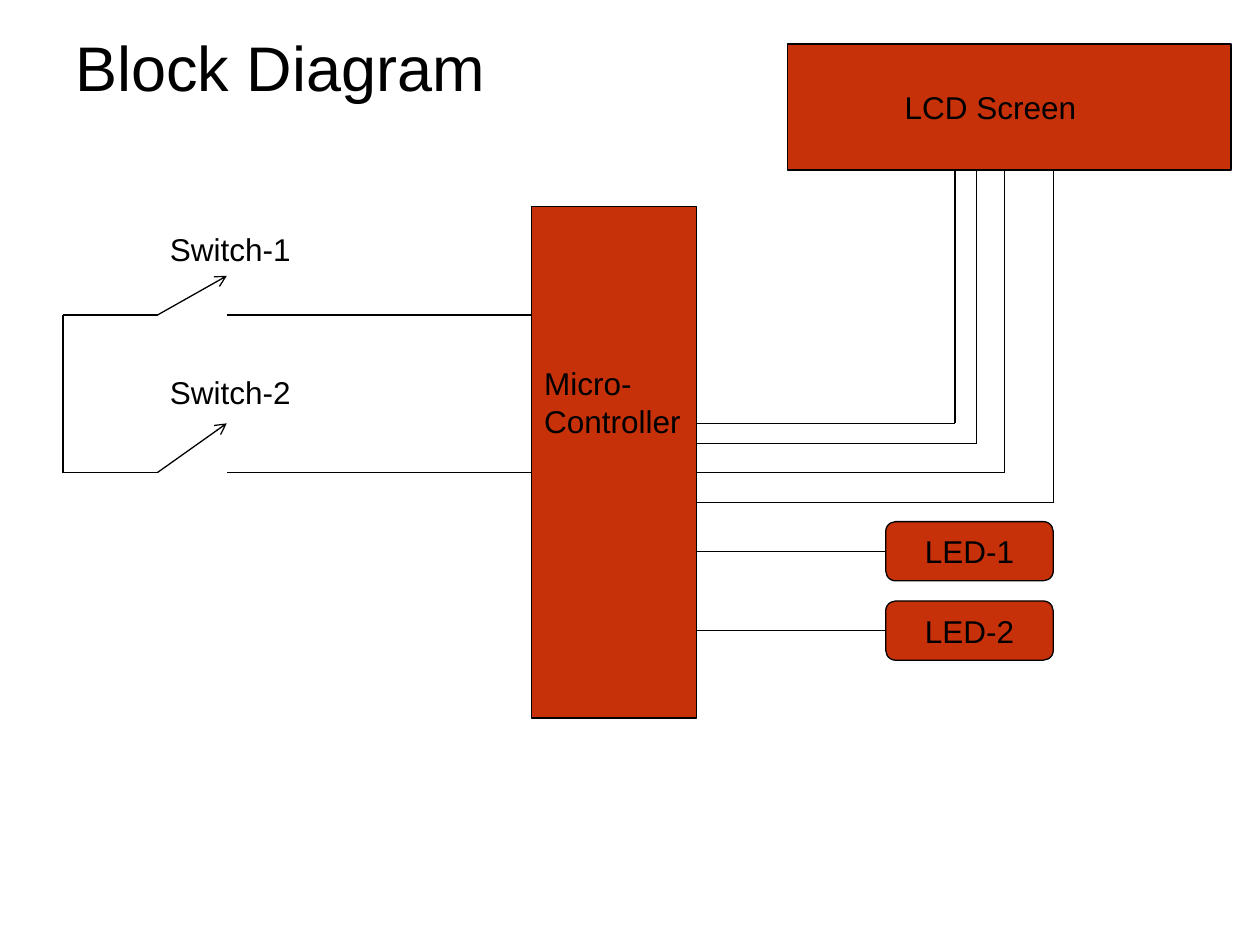
from lxml import etree
from pptx import Presentation
from pptx.dml.color import RGBColor
from pptx.enum.shapes import MSO_CONNECTOR, MSO_SHAPE
from pptx.enum.text import MSO_ANCHOR, PP_ALIGN
from pptx.oxml.ns import qn
from pptx.util import Inches, Pt

RECTANGLE = MSO_SHAPE.RECTANGLE
ROUNDED = MSO_SHAPE.ROUNDED_RECTANGLE
STRAIGHT = MSO_CONNECTOR.STRAIGHT
TOP, MIDDLE = MSO_ANCHOR.TOP, MSO_ANCHOR.MIDDLE
LEFT, CENTER = PP_ALIGN.LEFT, PP_ALIGN.CENTER
LEFT_SIDE = 1

COLORS = {"block": "C73109", "ink": "000000"}
FONT = "Arial"

TITLE = ("Block Diagram", (0.5, 0.21, 9, 0.64))
CONTROLLER = (["Micro-", "Controller"], (4.22, 1.64, 1.31, 4.06))
LCD = (["LCD Screen"], (6.25, 0.35, 3.52, 1))
LEDS = [("LED-1", 4.14), ("LED-2", 4.77)]
LED_LEFT, LED_WIDTH, LED_HEIGHT = 7.03, 1.33, 0.47
SWITCHES = [
    {"label": "Switch-1", "label_top": 1.78, "wire": 2.5, "tip": 2.19, "stops": [1.8, 2.8, 4.22]},
    {"label": "Switch-2", "label_top": 2.91, "wire": 3.75, "tip": 3.36, "stops": [1.8, 4.22]},
]
RAIL, PIVOT, CONTACT = 0.5, 1.25, 1.8
CONTROLLER_RIGHT, LCD_BOTTOM = 5.53, 1.35
LCD_WIRES = [(7.58, 3.36), (7.75, 3.52), (7.97, 3.75), (8.36, 3.99)]


def write(shape, lines, size=18, align=LEFT, anchor=TOP, left=0.1, top=0.05):
    frame = shape.text_frame
    frame.word_wrap = True
    frame.vertical_anchor = anchor
    frame.margin_left, frame.margin_top = Inches(left), Inches(top)
    for index, line in enumerate(lines):
        paragraph = frame.add_paragraph() if index else frame.paragraphs[0]
        paragraph.alignment = align
        run = paragraph.add_run()
        run.text = line
        run.font.size = Pt(size)
        run.font.name = FONT
        run.font.color.rgb = RGBColor.from_string(COLORS["ink"])


def add_label(slide, text, box, **style):
    write(slide.shapes.add_textbox(*map(Inches, box)), [text], **style)


def add_block(slide, kind, lines, box, **style):
    shape = slide.shapes.add_shape(kind, *map(Inches, box))
    shape.shadow.inherit = False
    shape.fill.solid()
    shape.fill.fore_color.rgb = RGBColor.from_string(COLORS["block"])
    shape.line.color.rgb = RGBColor.from_string(COLORS["ink"])
    shape.line.width = Pt(0.75)
    write(shape, lines, **style)
    return shape


def add_wire(slide, start, end, arrow=False):
    wire = slide.shapes.add_connector(STRAIGHT, *map(Inches, start + end))
    wire.line.color.rgb = RGBColor.from_string(COLORS["ink"])
    wire.line.width = Pt(0.75)
    if arrow:
        etree.SubElement(wire.line._get_or_add_ln(), qn("a:tailEnd"), type="arrow")
    etree.SubElement(wire._element.spPr, qn("a:effectLst"))
    return wire


def main():
    presentation = Presentation()
    presentation.slide_width, presentation.slide_height = Inches(10), Inches(7.5)
    slide = presentation.slides.add_slide(presentation.slide_layouts[6])

    add_label(slide, *TITLE, size=36, anchor=MIDDLE)
    add_block(slide, RECTANGLE, *CONTROLLER, top=1.25)
    add_block(slide, RECTANGLE, *LCD, anchor=MIDDLE, left=0.93)

    for switch in SWITCHES:
        y, stops = switch["wire"], switch["stops"]
        add_label(slide, switch["label"], (PIVOT, switch["label_top"], 1.33, 0.4))
        add_wire(slide, (RAIL, y), (PIVOT, y))
        add_wire(slide, (PIVOT, y), (CONTACT, switch["tip"]), arrow=True)
        for start, end in zip(stops, stops[1:]):
            add_wire(slide, (start, y), (end, y))
    add_wire(slide, (RAIL, SWITCHES[0]["wire"]), (RAIL, SWITCHES[1]["wire"]))

    for x, y in LCD_WIRES:
        add_wire(slide, (CONTROLLER_RIGHT, y), (x, y))
        add_wire(slide, (x, y), (x, LCD_BOTTOM))

    for text, top in LEDS:
        box = (LED_LEFT, top, LED_WIDTH, LED_HEIGHT)
        led = add_block(slide, ROUNDED, [text], box, align=CENTER, anchor=MIDDLE)
        y = top + LED_HEIGHT / 2
        wire = add_wire(slide, (CONTROLLER_RIGHT, y), (LED_LEFT, y))
        wire.end_connect(led, LEFT_SIDE)

    presentation.save("out.pptx")


if __name__ == "__main__":
    main()
